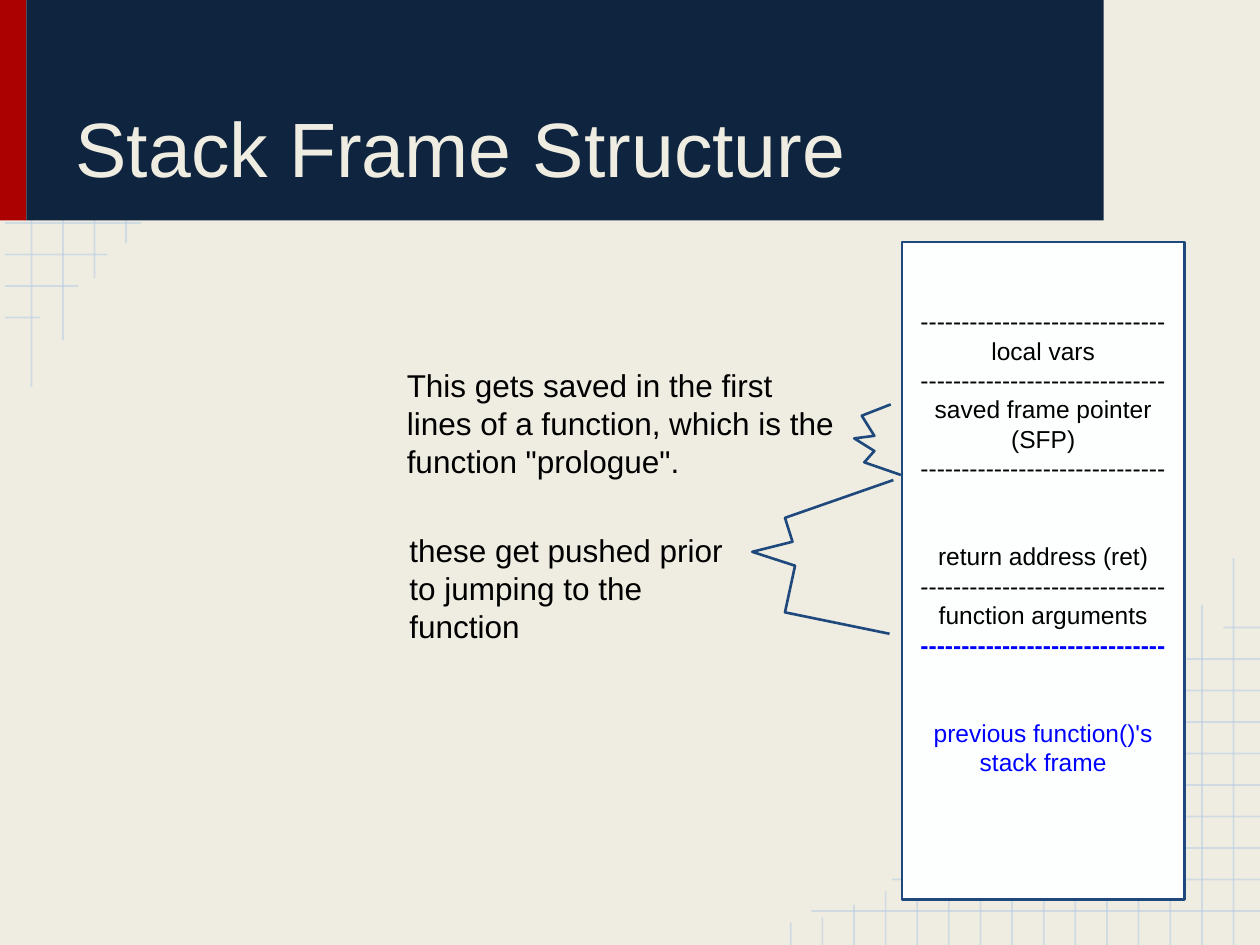
from lxml import etree
from pptx import Presentation
from pptx.dml.color import RGBColor
from pptx.enum.shapes import MSO_CONNECTOR, MSO_SHAPE
from pptx.enum.text import MSO_ANCHOR, PP_ALIGN
from pptx.oxml.ns import qn
from pptx.util import Inches, Pt

COLORS = {
    "paper": "EFEDE2", "grid": "B7CCE4", "red": "AB0101", "navy": "0F243E",
    "panel": "FDFFFF", "outline": "1F497D", "text": "000000", "previous": "0000FF",
}
RGB = {name: RGBColor.from_string(value) for name, value in COLORS.items()}

presentation = Presentation()
presentation.slide_width = Inches(10)
presentation.slide_height = Inches(7.5)
slide = presentation.slides.add_slide(presentation.slide_layouts[5])
slide.background.fill.solid()
slide.background.fill.fore_color.rgb = RGB["paper"]
shapes = slide.shapes


def add_grid_line(x1, y1, x2, y2):
    line = shapes.add_connector(
        MSO_CONNECTOR.STRAIGHT, Inches(x1), Inches(y1), Inches(x2), Inches(y2))
    line.line.color.rgb = RGB["grid"]
    line.line.width = Pt(1)
    properties = line._element.spPr
    color = properties.find(".//" + qn("a:srgbClr"))
    etree.SubElement(color, qn("a:alpha")).set("val", "54000")
    etree.SubElement(properties, qn("a:effectLst"))


def format_text(text_frame, size, spacing, align):
    text_frame.word_wrap = True
    text_frame.margin_left = text_frame.margin_right = Inches(0.1)
    text_frame.margin_top = text_frame.margin_bottom = Inches(0.1)
    for paragraph in text_frame.paragraphs:
        paragraph.alignment = align
        paragraph.line_spacing = spacing
        for run in paragraph.runs:
            run.font.name = "Arial"
            run.font.size = Pt(size)
            run.font.color.rgb = RGB["text"]


STEP = 0.25
for i, right in enumerate([1.12, 0.85, 0.62, 0.32]):
    add_grid_line(0.04, 1.77 + i * STEP, right, 1.77 + i * STEP)
for i, bottom in enumerate([3.07, 2.7, 2.21, 1.93]):
    add_grid_line((i + 1) * STEP, bottom, (i + 1) * STEP, 0)
for i, left in enumerate([6.44, 7.08, 7.63, 7.96, 8.37, 8.67, 8.92, 9.19, 9.42, 9.71]):
    add_grid_line(10, 7.23 - i * STEP, left, 7.23 - i * STEP)
for i, top in enumerate([4.43, 4.8, 5.29, 5.57, 5.78, 5.95, 6.19, 6.35,
                         6.54, 6.68, 6.86, 7.07, 7.18, 7.28, 7.32]):
    x = 9.79 - i * 0.251
    add_grid_line(x, top, x, 7.5)

for left, width, color in [(0, 0.21, "red"), (0.21, 8.55, "navy")]:
    banner = shapes.add_shape(
        MSO_SHAPE.RECTANGLE, Inches(left), 0, Inches(width), Inches(1.75))
    banner.shadow.inherit = False
    banner.fill.solid()
    banner.fill.fore_color.rgb = RGB[color]
    banner.line.fill.background()

title = shapes.title
shapes._spTree.append(title._element)
title.left, title.top = Inches(0.5), Inches(0.15)
title.width, title.height = Inches(8), Inches(1.48)
title.text_frame.text = "Stack Frame Structure"
title.text_frame.vertical_anchor = MSO_ANCHOR.BOTTOM
format_text(title.text_frame, 44, 1.0, PP_ALIGN.LEFT)
title.text_frame.paragraphs[0].runs[0].font.color.rgb = RGB["paper"]

panel = shapes.add_shape(
    MSO_SHAPE.RECTANGLE, Inches(7.16), Inches(1.92), Inches(2.24), Inches(5.22))
panel.shadow.inherit = False
panel.fill.solid()
panel.fill.fore_color.rgb = RGB["panel"]
panel.line.color.rgb = RGB["outline"]
panel.line.width = Pt(1.5)
divider = "-" * 30
frame = panel.text_frame
frame.text = "\n".join([
    divider, "local vars", divider, "saved frame pointer (SFP)", divider,
    "return address (ret)", divider, "function arguments", divider,
    "previous function()'s stack frame",
])
frame.vertical_anchor = MSO_ANCHOR.TOP
format_text(frame, 14, Pt(16.8), PP_ALIGN.CENTER)
frame.margin_top = Inches(0.51)
return_address = frame.paragraphs[5]
last_divider, previous_frame = frame.paragraphs[-2:]
for paragraph in (return_address, previous_frame):
    paragraph.space_before = Pt(33.6)
for paragraph in (last_divider, previous_frame):
    paragraph.runs[0].font.color.rgb = RGB["previous"]
last_divider.runs[0].font.bold = True

braces = [
    [(7.09, 3.81), (6.23, 4.11), (6.29, 4.3), (5.97, 4.38),
     (6.31, 4.49), (6.23, 4.86), (7.06, 5.03)],
    [(7.07, 3.21), (6.84, 3.3), (6.94, 3.46), (6.78, 3.48),
     (6.94, 3.58), (6.86, 3.67), (7.15, 3.77)],
]
for points in braces:
    start, *rest = [(Inches(x), Inches(y)) for x, y in points]
    builder = shapes.build_freeform(*start)
    builder.add_line_segments(rest, close=False)
    brace = builder.convert_to_shape()
    brace.shadow.inherit = False
    brace.fill.background()
    brace.line.color.rgb = RGB["outline"]
    brace.line.width = Pt(1.5)

notes = [
    (3.15, 4.11, 2.81, 0.59, "these get pushed prior to jumping to the function"),
    (3.13, 2.8, 3.65, 0.75, "This gets saved in the first lines of a function, "
                            "which is the function \"prologue\"."),
]
for left, top, width, height, text in notes:
    note = shapes.add_textbox(Inches(left), Inches(top), Inches(width), Inches(height))
    note.text_frame.text = text
    format_text(note.text_frame, 18, Pt(21.7), PP_ALIGN.LEFT)

presentation.save("out.pptx")
